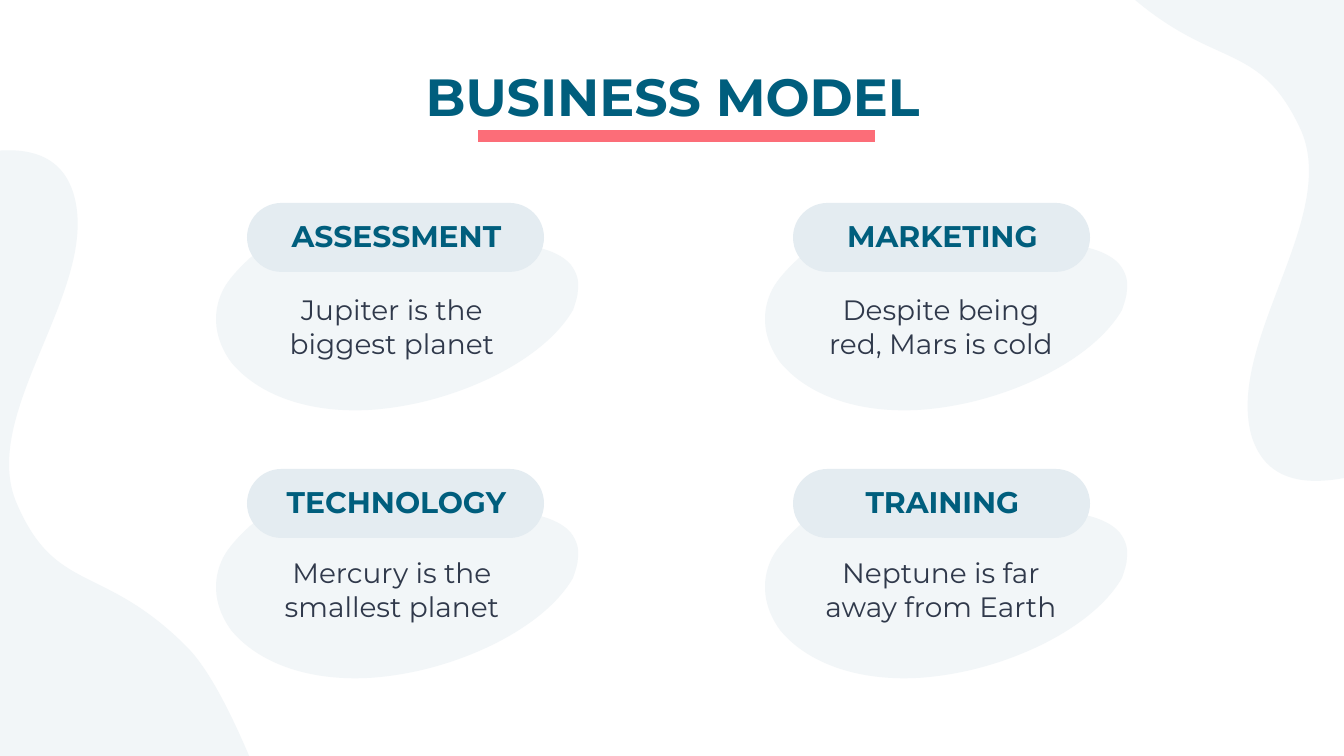
from dataclasses import dataclass

from lxml.etree import SubElement
from pptx import Presentation
from pptx.dml.color import RGBColor
from pptx.enum.shapes import MSO_SHAPE
from pptx.enum.text import MSO_ANCHOR, MSO_AUTO_SIZE, PP_ALIGN
from pptx.oxml.ns import qn
from pptx.util import Pt

EMU_PER_PX = 914400 / 134.4


@dataclass(frozen=True)
class Theme:
    """Colours, font and type sizes of the slide."""

    font: str = "Montserrat"
    heading: str = "005E7D"
    body: str = "30394B"
    accent: str = "FC6D78"
    pill: str = "E4ECF1"
    cloud: str = "F2F6F8"
    background: str = "FFFFFF"
    title_size: int = 28
    label_size: int = 16
    body_size: int = 15


THEME = Theme()

RIGHT_WAVE = [
    (1456, -138),
    (1380, -211), (1296, -190), (1218, -200),
    (1140, -211), (942, -312), (988, -267),
    (1016, -241), (1071, -59), (1126, -8),
    (1214, 71), (1258, 39), (1300, 128),
    (1341, 215), (1227, 340), (1251, 434),
    (1269, 497), (1337, 496), (1461, 434),
    (1521, 425), (1386, 183), (1442, 120),
    (1507, 47), (1524, -71), (1456, -138),
]
LEFT_WAVE = [
    (-146, 765),
    (-74, 840), (12, 821), (89, 835),
    (165, 848), (362, 954), (316, 909),
    (290, 880), (241, 699), (185, 645),
    (102, 563), (56, 594), (17, 504),
    (-22, 415), (97, 293), (75, 199),
    (60, 136), (-9, 134), (-134, 194),
    (-195, 200), (-67, 446), (-125, 507),
    (-192, 578), (-214, 696), (-146, 765),
]
CARD_CLOUD = [
    (278, 246),
    (269, 247), (258, 251), (250, 258),
    (238, 269), (228, 280), (223, 290),
    (211, 314), (215, 340), (231, 362),
    (258, 395), (308, 413), (368, 410),
    (386, 409), (405, 406), (422, 402),
    (485, 387), (548, 353), (573, 310),
    (575, 304), (578, 296), (578, 289),
    (579, 281), (577, 273), (571, 265),
    (562, 254), (543, 247), (523, 245),
    (489, 241), (453, 247), (419, 247),
    (391, 247), (356, 246), (331, 243),
    (314, 242), (296, 242), (278, 246),
]

CARDS = [
    (0, 0, "ASSESSMENT", "Jupiter is the biggest planet"),
    (1, 0, "MARKETING", "Despite being red, Mars is cold"),
    (0, 1, "TECHNOLOGY", "Mercury is the smallest planet"),
    (1, 1, "TRAINING", "Neptune is far away from Earth"),
]


def px(length):
    """Turn pixels into EMU."""
    return round(length * EMU_PER_PX)


def paint(shape, color):
    """Give a shape a flat fill without line or shadow."""
    shape.shadow.inherit = False
    shape.fill.solid()
    shape.fill.fore_color.rgb = RGBColor.from_string(color)
    shape.line.fill.background()


def add_cloud(slide, points, left=0, top=0):
    """Add a closed outline of cubic curves, three points to a curve."""
    builder = slide.shapes.build_freeform(*points[0], scale=EMU_PER_PX)
    builder.add_line_segments(points[1:], close=True)
    shape = builder.convert_to_shape(px(left), px(top))
    outline = next(shape.element.iter(qn("a:path")))
    lines = outline.findall(qn("a:lnTo"))
    for start in range(0, len(lines), 3):
        curve = SubElement(outline, qn("a:cubicBezTo"))
        lines[start].addprevious(curve)
        for line in lines[start:start + 3]:
            curve.append(line[0])
            outline.remove(line)
    paint(shape, THEME.cloud)


def add_block(slide, kind, box, color):
    """Add a plain preset shape."""
    shape = slide.shapes.add_shape(kind, *map(px, box))
    paint(shape, color)
    return shape


def write(shape, text, size, color, bold=False, anchor=MSO_ANCHOR.MIDDLE):
    """Set one centred paragraph in a shape."""
    frame = shape.text_frame
    frame.word_wrap = True
    frame.auto_size = MSO_AUTO_SIZE.NONE
    frame.vertical_anchor = anchor
    frame.margin_left = frame.margin_right = px(13)
    frame.margin_top = frame.margin_bottom = px(13)
    paragraph = frame.paragraphs[0]
    paragraph.alignment = PP_ALIGN.CENTER
    run = paragraph.add_run()
    run.text = text
    run.font.name = THEME.font
    run.font.size = Pt(size)
    run.font.bold = bold
    run.font.color.rgb = RGBColor.from_string(color)


def add_title(slide, text):
    """Fill the title placeholder and underline it with a bar."""
    title = slide.shapes.title
    title.left, title.top, title.width, title.height = map(px, (106, 51, 1133, 85))
    write(title, text, THEME.title_size, THEME.heading, True, MSO_ANCHOR.TOP)
    add_block(slide, MSO_SHAPE.RECTANGLE, (478, 130, 397, 12), THEME.accent)


def add_card(slide, column, row, label, text):
    """Add one card: cloud, body text, pill and label."""
    add_cloud(slide, CARD_CLOUD, column * 549, row * 268)
    body = slide.shapes.add_textbox(
        *map(px, (254 + column * 549, 289 + row * 263, 276, 74)))
    write(body, text, THEME.body_size, THEME.body)
    left, top = column * 546, row * 266
    pill = add_block(slide, MSO_SHAPE.ROUNDED_RECTANGLE,
                     (247 + left, 203 + top, 297, 69), THEME.pill)
    pill.adjustments[0] = 0.5
    heading = slide.shapes.add_textbox(
        *map(px, (273 + left, 218 + top, 247, 35)))
    write(heading, label, THEME.label_size, THEME.heading, True)


def main():
    """Build and save the slide."""
    presentation = Presentation()
    presentation.slide_width, presentation.slide_height = px(1344), px(756)
    slide = presentation.slides.add_slide(presentation.slide_layouts[5])
    slide.background.fill.solid()
    slide.background.fill.fore_color.rgb = RGBColor.from_string(THEME.background)
    add_cloud(slide, RIGHT_WAVE)
    add_cloud(slide, LEFT_WAVE)
    add_title(slide, "BUSINESS MODEL")
    for card in CARDS:
        add_card(slide, *card)
    presentation.save("out.pptx")


if __name__ == "__main__":
    main()
